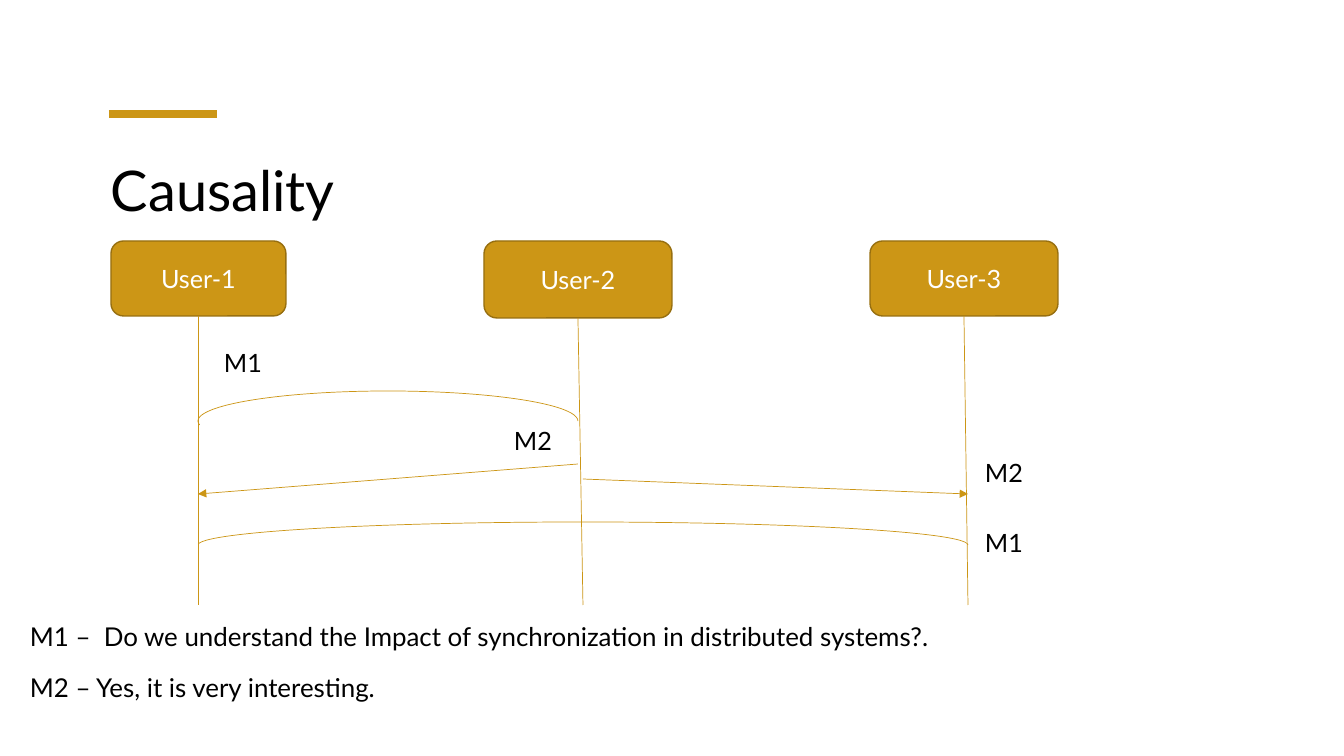
from lxml.etree import SubElement
from pptx import Presentation
from pptx.dml.color import RGBColor
from pptx.enum.shapes import MSO_CONNECTOR, MSO_SHAPE
from pptx.enum.text import MSO_ANCHOR, PP_ALIGN
from pptx.oxml.ns import qn
from pptx.util import Emu, Pt

PIXEL = 9071.43
FONT = "Lato"
GOLD, DARK_GOLD, BLACK, WHITE = "CC9616", "976F10", "000000", "FFFFFF"


def px(*lengths):
    return [Emu(round(length * PIXEL)) for length in lengths]


def color(hex_value):
    return RGBColor.from_string(hex_value)


def set_line(shape, hex_value, width):
    shape.line.color.rgb = color(hex_value)
    shape.line.width = Pt(width)


def add_run(paragraph, text, size, hex_value):
    run = paragraph.add_run()
    run.text = text
    run.font.name = FONT
    run.font.size = Pt(size)
    run.font.color.rgb = color(hex_value)


def add_text(slide, box, lines, size, spacing=1, before=0):
    frame = slide.shapes.add_textbox(*px(*box)).text_frame
    frame.word_wrap = True
    for index, line in enumerate(lines):
        paragraph = frame.add_paragraph() if index else frame.paragraphs[0]
        paragraph.line_spacing = spacing
        paragraph.space_before = Pt(before)
        add_run(paragraph, line, size, BLACK)


def add_line(slide, start, end, width=0.5, arrow=False):
    connector = slide.shapes.add_connector(MSO_CONNECTOR.STRAIGHT, *px(*start, *end))
    set_line(connector, GOLD, width)
    if arrow:
        SubElement(connector.line._get_or_add_ln(), qn("a:tailEnd"), type="triangle")
    SubElement(connector._element.spPr, qn("a:effectLst"))


def add_arc(slide, box, start_angle):
    arc = slide.shapes.add_shape(MSO_SHAPE.ARC, *px(*box))
    arc.shadow.inherit = False
    arc.fill.background()
    set_line(arc, GOLD, 0.5)
    arc.adjustments[0] = start_angle
    arc.adjustments[1] = 0


def add_user(slide, box, name):
    user = slide.shapes.add_shape(MSO_SHAPE.ROUNDED_RECTANGLE, *px(*box))
    user.shadow.inherit = False
    user.fill.solid()
    user.fill.fore_color.rgb = color(GOLD)
    set_line(user, DARK_GOLD, 1)
    user.text_frame.vertical_anchor = MSO_ANCHOR.MIDDLE
    paragraph = user.text_frame.paragraphs[0]
    paragraph.alignment = PP_ALIGN.CENTER
    add_run(paragraph, name, 18, WHITE)


def add_heading(slide, left, top, width, height):
    add_line(slide, (left + 8, top - 37), (left + 116, top - 37), width=6)
    add_text(slide, (left, top, width, height), ["Causality"], 40)


def add_sequence(slide, left, top, width, height):
    bottom = top + height
    users = [(0, 175, 75, 0), (373, 188, 77, 5), (width - 188, 188, 75, 4)]
    heads, feet = [], []
    for number, (offset, user_width, user_height, drift) in enumerate(users, 1):
        add_user(slide, (left + offset, top, user_width, user_height), f"User-{number}")
        head = left + offset + user_width // 2
        heads.append(head)
        feet.append(head + drift)
        add_line(slide, (head, top + user_height), (head + drift, bottom))

    first = heads[0]
    add_arc(slide, (first, top + 150, heads[1] - first, 60), 107.26)
    add_arc(slide, (first, top + 281, feet[2] - first, 46), 108.06)
    add_line(slide, (heads[1], top + 223), (first, top + 253), arrow=True)
    add_line(slide, (feet[1], top + 238), (feet[2], top + 253), arrow=True)

    labels = [("M1", 103, 101), ("M2", 393, 179), ("M2", 864, 211), ("M1", 864, 281)]
    for name, across, down in labels:
        add_text(slide, (left + across, top + down, 73, 40), [name], 18)


def add_messages(slide, left, top, width, height):
    messages = [
        "M1 –  Do we understand the Impact of synchronization in distributed systems?.",
        "M2 – Yes, it is very interesting.",
    ]
    add_text(slide, (left, top, width, height), messages, 18.5, spacing=1.2, before=10)


presentation = Presentation()
presentation.slide_width, presentation.slide_height = px(1344, 756)
slide = presentation.slides.add_slide(presentation.slide_layouts[6])
add_heading(slide, 101, 151, 559, 90)
add_sequence(slide, 111, 241, 947, 364)
add_messages(slide, 20, 609, 950, 115)
presentation.save("out.pptx")
